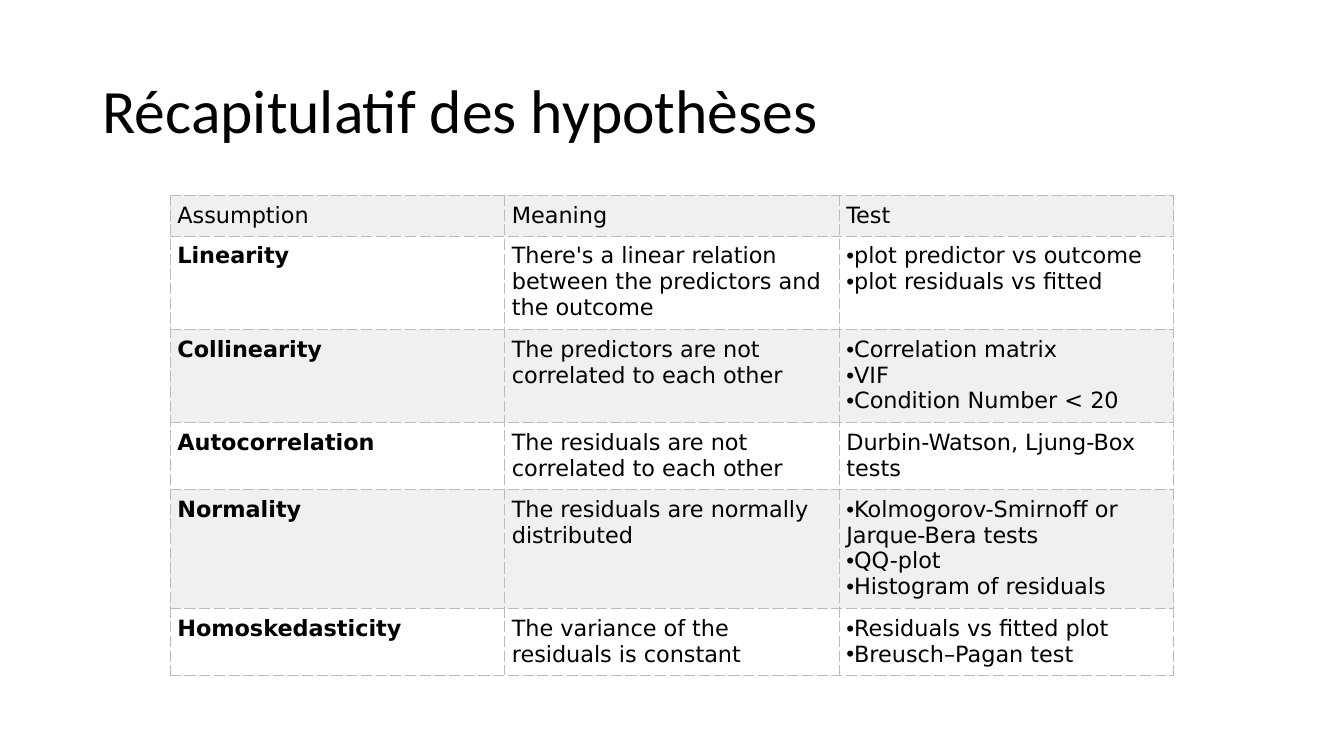
import pptx
import pptx.dml.color
import pptx.enum.text
import pptx.oxml
import pptx.oxml.ns
import pptx.util
from pptx.util import Cm

BLACK, WHITE, BAND, BORDER = "000000", "FFFFFF", "F0F0F0", "BBBBBB"
NAMESPACE = pptx.oxml.ns.nsdecls("a")

# Each cell is a string, or a list of bulleted lines
ASSUMPTIONS = [
    ("Assumption", "Meaning", "Test"),
    ("Linearity ", "There's a linear relation between the predictors and the outcome",
     ["plot predictor vs outcome", "plot residuals vs fitted"]),
    ("Collinearity", "The predictors are not correlated to each other",
     ["Correlation matrix", "VIF", "Condition Number < 20"]),
    ("Autocorrelation ", "The residuals are not correlated to each other",
     "Durbin-Watson, Ljung-Box tests"),
    ("Normality", "The residuals are normally distributed",
     ["Kolmogorov-Smirnoff or Jarque-Bera tests", "QQ-plot", "Histogram of residuals"]),
    ("Homoskedasticity", "The variance of the residuals is constant",
     ["Residuals vs fitted plot", "Breusch–Pagan test"]),
]
ROW_HEIGHTS = [1.03, 2.35, 2.35, 1.68, 3, 1.68]
COLUMN_WIDTH = 8.43


def rgb(hex_color):
    return pptx.dml.color.RGBColor.from_string(hex_color)


def write(paragraph, text, font="DejaVu Sans", size=16, color=BLACK, bold=False, bullet=False):
    run = paragraph.add_run()
    run.text = text
    run.font.name = font
    run.font.size = pptx.util.Pt(size)
    run.font.color.rgb = rgb(color)
    run.font.bold = bold
    if bullet:
        properties = paragraph._p.get_or_add_pPr()
        properties.set("marL", "0")
        properties.set("indent", "0")
        for xml in (f'<a:buFont {NAMESPACE} typeface="Arial"/>', f'<a:buChar {NAMESPACE} char="•"/>'):
            properties.append(pptx.oxml.parse_xml(xml))


def add_title(slide, text):
    title = slide.shapes.title
    title.left, title.top, title.width, title.height = Cm(2.33), Cm(1.01), Cm(29.21), Cm(3.68)
    frame = title.text_frame
    frame.auto_size = pptx.enum.text.MSO_AUTO_SIZE.NONE
    frame.vertical_anchor = pptx.enum.text.MSO_ANCHOR.MIDDLE
    heading = frame.paragraphs[0]
    heading.alignment = pptx.enum.text.PP_ALIGN.LEFT
    heading.line_spacing = 0.9
    write(heading, text, font="Calibri", size=44)


def add_dashed_borders(cell):
    properties = cell._tc.get_or_add_tcPr()
    for side in ("lnL", "lnR", "lnT", "lnB"):
        properties.append(pptx.oxml.parse_xml(
            f'<a:{side} {NAMESPACE} w="{pptx.util.Pt(0.75)}"><a:solidFill><a:srgbClr val="{BORDER}"/>'
            f'</a:solidFill><a:prstDash val="dash"/></a:{side}>'))


def fill_cell(cell, content, fill, bold):
    cell.margin_left = cell.margin_right = cell.margin_top = cell.margin_bottom = Cm(0.18)
    # Borders must precede the fill in the cell properties
    add_dashed_borders(cell)
    cell.fill.solid()
    cell.fill.fore_color.rgb = rgb(fill)
    bulleted = isinstance(content, list)
    frame = cell.text_frame
    for index, line in enumerate(content if bulleted else [content]):
        paragraph = frame.add_paragraph() if index else frame.paragraphs[0]
        write(paragraph, line, bold=bold, bullet=bulleted)


def add_assumption_table(slide, rows):
    table = slide.shapes.add_table(
        len(rows), len(rows[0]), Cm(4.29), Cm(4.92),
        Cm(COLUMN_WIDTH * len(rows[0])), Cm(sum(ROW_HEIGHTS))).table
    for column in table.columns:
        column.width = Cm(COLUMN_WIDTH)
    for row_index, contents in enumerate(rows):
        table.rows[row_index].height = Cm(ROW_HEIGHTS[row_index])
        fill = WHITE if row_index % 2 else BAND
        for column_index, content in enumerate(contents):
            is_assumption = row_index > 0 and column_index == 0
            fill_cell(table.cell(row_index, column_index), content, fill, bold=is_assumption)
    table.first_row = table.horz_banding = False


def main():
    presentation = pptx.Presentation()
    presentation.slide_width, presentation.slide_height = Cm(33.87), Cm(19.05)
    # Title-only layout
    slide = presentation.slides.add_slide(presentation.slide_layouts[5])
    add_title(slide, "Récapitulatif des hypothèses")
    add_assumption_table(slide, ASSUMPTIONS)
    presentation.save("out.pptx")


if __name__ == "__main__":
    main()
